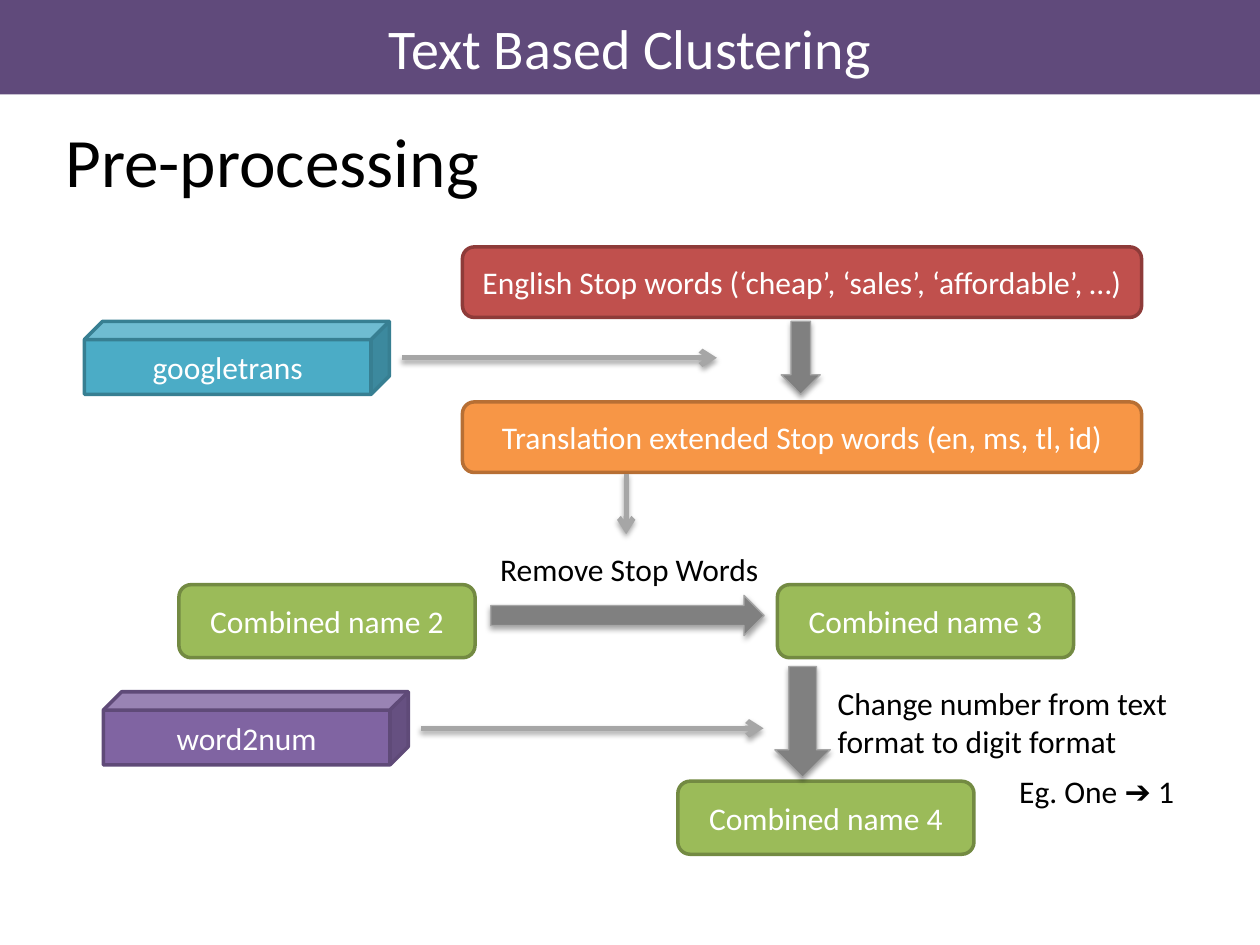
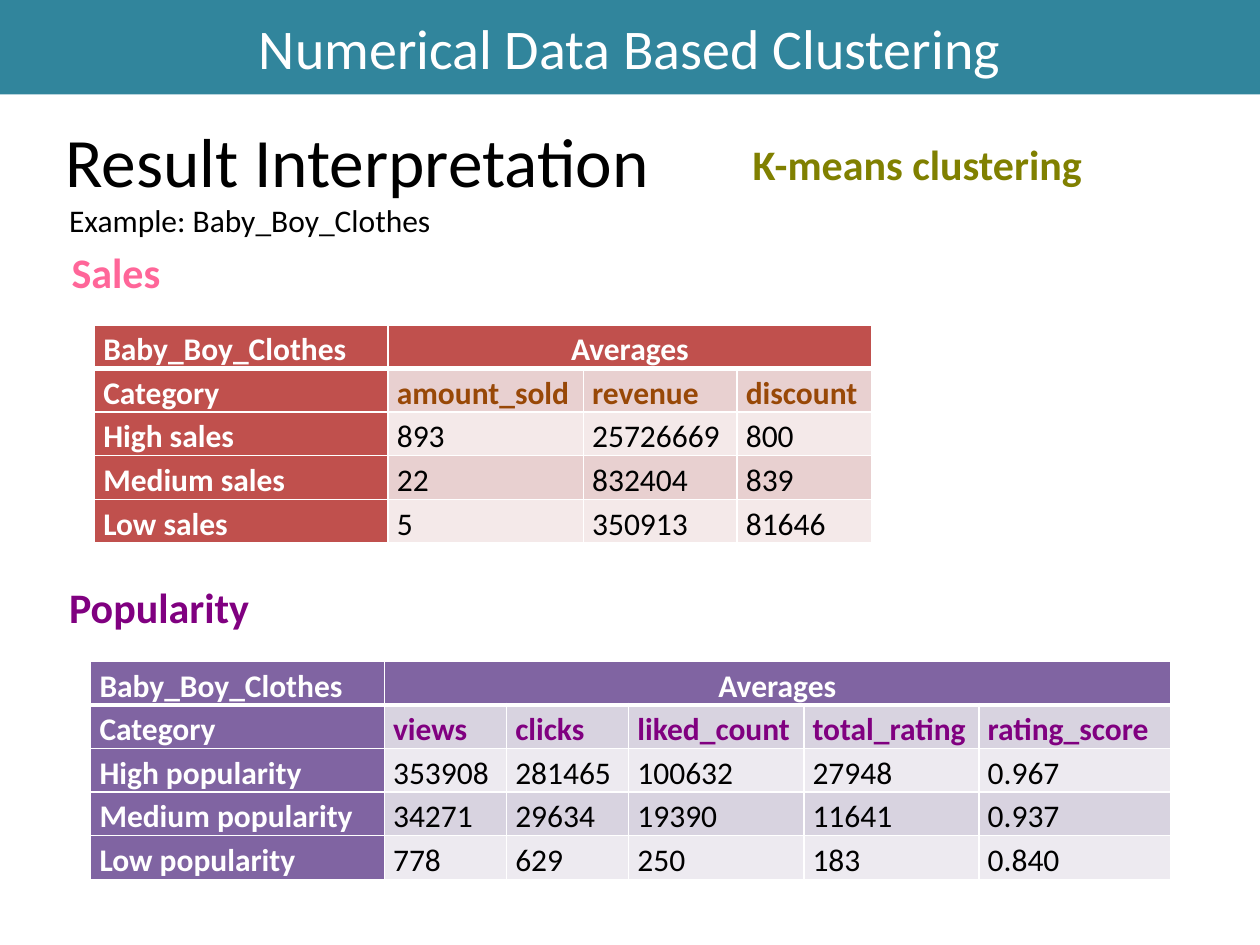
from lxml import etree
from pptx import Presentation
from pptx import util as u
from pptx.dml import color
from pptx.enum import shapes, text
from pptx.oxml import ns

FONT = "Calibri"
WHITE, BLACK = "FFFFFF", "000000"
GREEN, GREEN_EDGE = "9BBB59", "738A42"
RED, ORANGE, AQUA, PURPLE = "C0504D", "F79646", "4BACC6", "8064A2"
ARROW_FILL, ARROW_LINE = "808080", "A6A6A6"
STEP_SIZE = (2.35, 0.58)
LIBRARY_SIZE = (2.42, 0.58)
TABLE_HEIGHT = 1.73
LEFT, CENTER = text.PP_ALIGN.LEFT, text.PP_ALIGN.CENTER
ROUNDED, CUBE = shapes.MSO_SHAPE.ROUNDED_RECTANGLE, shapes.MSO_SHAPE.CUBE


def rgb(value):
    """Turn a hex string into a colour."""
    return color.RGBColor.from_string(value)


def add_child(parent, tag, **attributes):
    """Append a drawing element with the given attributes."""
    child = etree.SubElement(parent, ns.qn(tag))
    for name, value in attributes.items():
        child.set(name, str(value))
    return child


def write(paragraph, words, size, colour, bold=False, align=LEFT):
    """Put one formatted run in a paragraph."""
    paragraph.alignment = align
    run = paragraph.add_run()
    run.text = words
    run.font.name = FONT
    run.font.size = u.Pt(size)
    run.font.bold = bold
    run.font.color.rgb = rgb(colour)


def add_label(slide, box, words, size=18, colour=BLACK, bold=False,
              align=LEFT, anchor=text.MSO_ANCHOR.TOP, fill=None):
    """Add a wrapping text box."""
    label = slide.shapes.add_textbox(*map(u.Inches, box))
    label.text_frame.word_wrap = True
    label.text_frame.vertical_anchor = anchor
    if fill:
        label.fill.solid()
        label.fill.fore_color.rgb = rgb(fill)
    write(label.text_frame.paragraphs[0], words, size, colour, bold, align)


def add_block(slide, kind, box, fill, edge=None, words="", size=18, width=2):
    """Add a filled preset shape with centred white text."""
    block = slide.shapes.add_shape(kind, *map(u.Inches, box))
    block.shadow.inherit = False
    block.fill.solid()
    block.fill.fore_color.rgb = rgb(fill)
    if edge:
        block.line.color.rgb = rgb(edge)
        block.line.width = u.Pt(width)
    else:
        block.line.fill.background()
    if words:
        block.text_frame.word_wrap = True
        block.text_frame.vertical_anchor = text.MSO_ANCHOR.MIDDLE
        write(block.text_frame.paragraphs[0], words, size, WHITE, align=CENTER)
    return block


def add_shadow(shape):
    """Give a shape or connector a soft shadow below it."""
    properties = shape.element.spPr
    for effects in properties.findall(ns.qn("a:effectLst")):
        properties.remove(effects)
    effects = add_child(properties, "a:effectLst")
    shadow = add_child(effects, "a:outerShdw", blurRad=u.Pt(3.1), dist=u.Pt(1.8),
                       dir=90 * 60000, rotWithShape=0)
    tint = add_child(shadow, "a:srgbClr", val=BLACK)
    add_child(tint, "a:alpha", val=35000)


def add_block_arrow(slide, box, rotation=0):
    """Add a grey block arrow that points down before rotation."""
    arrow = add_block(slide, shapes.MSO_SHAPE.DOWN_ARROW, box,
                      ARROW_FILL, ARROW_LINE, width=0.75)
    arrow.rotation = rotation
    add_shadow(arrow)


def add_line_arrow(slide, start, end):
    """Add a thin grey arrow between two points."""
    arrow = slide.shapes.add_connector(
        shapes.MSO_CONNECTOR.STRAIGHT, *map(u.Inches, start + end))
    arrow.line.color.rgb = rgb(ARROW_LINE)
    arrow.line.width = u.Pt(3)
    add_child(arrow.line._get_or_add_ln(), "a:tailEnd", type="arrow")
    add_shadow(arrow)


def add_heading(slide, band_words, band_colour, title, title_width):
    """Add the top band and the slide title."""
    add_block(slide, shapes.MSO_SHAPE.RECTANGLE, (0, 0, 10, 0.75), band_colour,
              words=band_words, size=32)
    add_label(slide, (0.42, 1, title_width, 0.53), title, 39.6,
              anchor=text.MSO_ANCHOR.MIDDLE)


def set_borders(cell, top, bottom):
    """Draw white borders round a cell, with widths in points."""
    properties = cell._tc.get_or_add_tcPr()
    for side, width in (("L", 1), ("R", 1), ("T", top), ("B", bottom)):
        line = add_child(properties, f"a:ln{side}", w=u.Pt(width))
        add_child(add_child(line, "a:solidFill"), "a:srgbClr", val=WHITE)


def add_averages_table(slide, left, top, widths, rows, main, bands, accent):
    """Add a table of averages under a merged header."""
    rows = [["Baby_Boy_Clothes", "Averages"] + [""] * (len(widths) - 2)] + rows
    table = slide.shapes.add_table(
        len(rows), len(widths), u.Inches(left), u.Inches(top),
        u.Inches(sum(widths)), u.Inches(TABLE_HEIGHT)).table
    for column, width in zip(table.columns, widths):
        column.width = u.Inches(width)
    table.cell(0, 1).merge(table.cell(0, len(widths) - 1))
    for r, row in enumerate(rows):
        for c, words in enumerate(row):
            cell = table.cell(r, c)
            heading = r == 0 or c == 0
            set_borders(cell, 3 if r == 1 else 1, 3 if r == 0 else 1)
            cell.fill.solid()
            cell.fill.fore_color.rgb = rgb(main if heading else bands[(r - 1) % 2])
            cell.margin_left = cell.margin_right = u.Inches(0.07)
            cell.margin_top = cell.margin_bottom = 0
            paragraph = cell.text_frame.paragraphs[0]
            paragraph.line_spacing = 1.15
            if words:
                colour = WHITE if heading else accent if r == 1 else BLACK
                align = CENTER if r == 0 and c else text.PP_ALIGN.JUSTIFY
                write(paragraph, words, 18, colour, heading or r == 1, align)


def build_preprocessing(slide):
    """Draw the stop word and number clean-up flow."""
    add_heading(slide, "Text Based Clustering", "604A7B", "Pre-processing", 3.67)
    add_block(slide, ROUNDED, (1.42, 4.64, *STEP_SIZE), GREEN, GREEN_EDGE,
              "Combined name 2")
    add_block(slide, ROUNDED, (3.67, 1.96, 5.39, 0.56), RED, "8E3B39",
              "English Stop words (‘cheap’, ‘sales’, ‘affordable’, …)")
    add_block(slide, CUBE, (0.67, 2.55, *LIBRARY_SIZE), AQUA, "377F92", "googletrans")
    add_block_arrow(slide, (6.2, 2.55, 0.31, 0.58))
    add_block(slide, ROUNDED, (3.67, 3.19, 5.39, 0.56), ORANGE, "B76F34",
              "Translation extended Stop words (en, ms, tl, id)")
    add_line_arrow(slide, (3.19, 2.84), (5.69, 2.84))

    add_label(slide, (3.82, 4.32, 2.35, 0.4), "Remove Stop Words",
              align=CENTER, fill=WHITE)
    add_block_arrow(slide, (4.82, 3.8, 0.32, 2.17), rotation=270)
    add_block(slide, ROUNDED, (6.17, 4.64, *STEP_SIZE), GREEN, GREEN_EDGE,
              "Combined name 3")
    add_line_arrow(slide, (4.97, 3.76), (4.97, 4.24))

    add_block(slide, CUBE, (0.82, 5.49, *LIBRARY_SIZE), PURPLE, "5F4A78", "word2num")
    add_line_arrow(slide, (3.34, 5.78), (6.06, 5.78))
    add_block(slide, ROUNDED, (5.38, 6.2, *STEP_SIZE), GREEN, GREEN_EDGE,
              "Combined name 4")
    add_block_arrow(slide, (6.15, 5.29, 0.44, 0.88))
    add_label(slide, (6.55, 5.38, 2.88, 0.71),
              "Change number from text format to digit format")
    add_label(slide, (7.99, 6.08, 1.68, 0.41), "Eg. One ➔ 1")


def build_results(slide):
    """Show the sales and popularity averages of the clusters."""
    add_heading(slide, "Numerical Data Based Clustering", "31859C",
                "Result Interpretation", 5.42)
    add_label(slide, (0.47, 1.91, 2.17, 0.5), "Sales", 24, "FF6699", True)
    add_label(slide, (0.45, 4.57, 2.67, 0.5), "Popularity", 24, "800080", True)
    add_label(slide, (5.03, 1.05, 4.5, 0.5), "K-means clustering", 24, "808000",
              True, CENTER)
    add_label(slide, (0.45, 1.55, 3.72, 0.4), "Example: Baby_Boy_Clothes")
    popularity = [
        ["Category", "views", "clicks", "liked_count", "total_rating", "rating_score"],
        ["High popularity", "353908", "281465", "100632", "27948", "0.967"],
        ["Medium popularity", "34271", "29634", "19390", "11641", "0.937"],
        ["Low popularity", "778", "629", "250", "183", "0.840"],
    ]
    sales = [
        ["Category", "amount_sold", "revenue", "discount"],
        ["High sales", "893", "25726669", "800"],
        ["Medium sales", "22", "832404", "839"],
        ["Low sales", "5", "350913", "81646"],
    ]
    add_averages_table(slide, 0.72, 5.25, [2.33, 0.97, 0.97, 1.39, 1.39, 1.52],
                       popularity, PURPLE, ("D8D3E0", "EDEAF0"), "800080")
    add_averages_table(slide, 0.75, 2.58, [2.33, 1.55, 1.22, 1.07],
                       sales, RED, ("E8D0D0", "F4E9E9"), "984807")


def main():
    """Build and save the presentation."""
    presentation = Presentation()
    presentation.slide_width = u.Inches(10)
    presentation.slide_height = u.Inches(7.5)
    blank = presentation.slide_layouts[6]
    for build in (build_preprocessing, build_results):
        build(presentation.slides.add_slide(blank))
    presentation.save("out.pptx")


if __name__ == "__main__":
    main()
